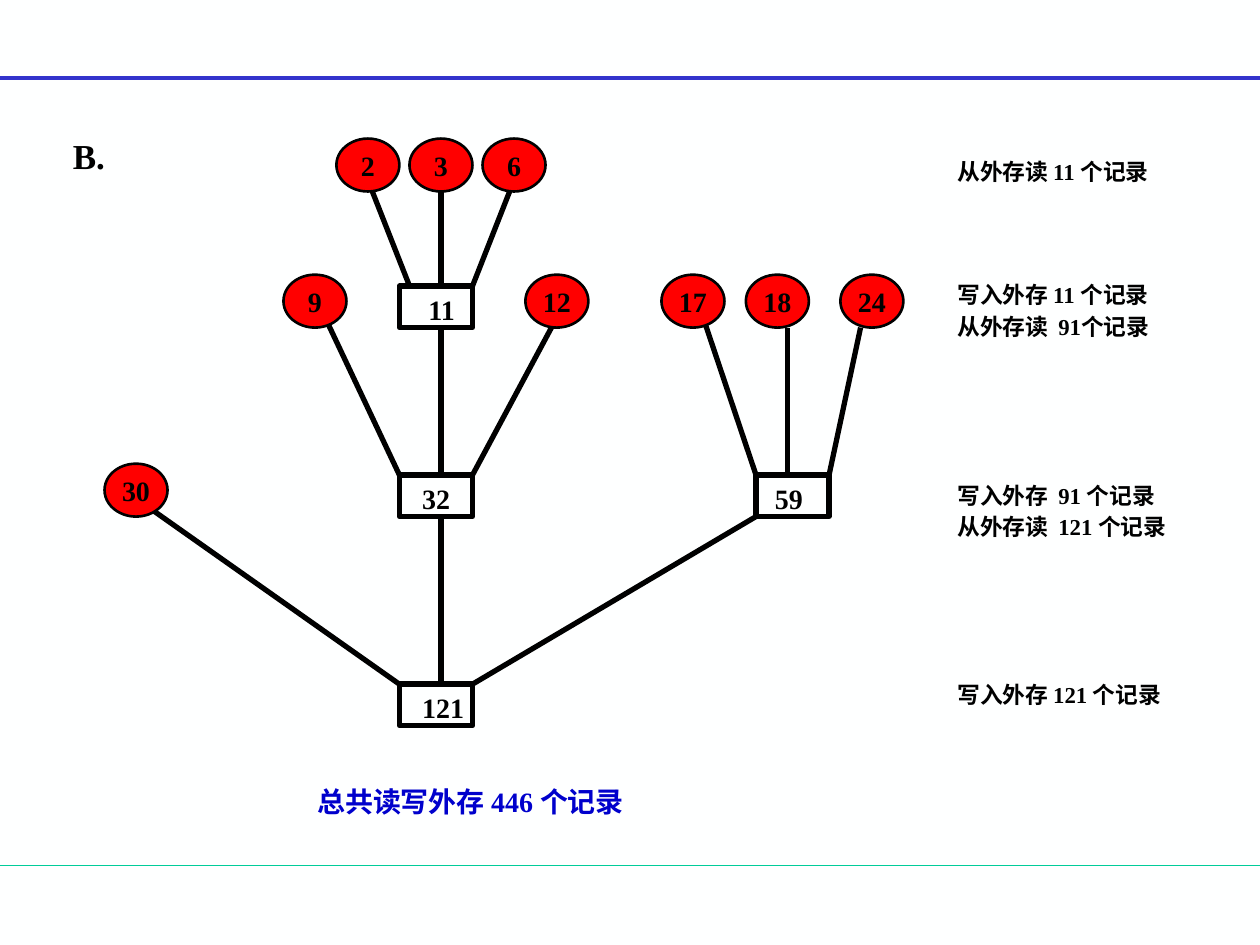
import pptx
import pptx.util
import pptx.dml.color
import pptx.enum.shapes
import pptx.enum.text
import pptx.oxml.ns
import lxml.etree

Inches = pptx.util.Inches
Pt = pptx.util.Pt
rgb = pptx.dml.color.RGBColor.from_string
kind = pptx.enum.shapes.MSO_SHAPE
anchor = pptx.enum.text.MSO_ANCHOR
align = pptx.enum.text.PP_ALIGN


def write(shape, text, size, hue="000000"):
    para = shape.text_frame.paragraphs[0]
    run = para.add_run()
    run.text = text
    run.font.name = "Times New Roman"
    run.font.size = Pt(size)
    run.font.bold = True
    run.font.color.rgb = rgb(hue)
    return para


def draw(x1, y1, x2, y2, hue="000000", width=3):
    line = shapes.add_connector(
        pptx.enum.shapes.MSO_CONNECTOR.STRAIGHT,
        Inches(x1), Inches(y1), Inches(x2), Inches(y2))
    line.line.color.rgb = rgb(hue)
    line.line.width = Pt(width)
    lxml.etree.SubElement(line._element.spPr, pptx.oxml.ns.qn("a:effectLst"))


deck = pptx.Presentation()
deck.slide_width = Inches(10)
deck.slide_height = Inches(7.5)
slide = deck.slides.add_slide(deck.slide_layouts[6])
slide.background.fill.solid()
slide.background.fill.fore_color.rgb = rgb("FEFFFF")
shapes = slide.shapes

draw(0, 6.87, 10, 6.87, "00CC99", 0.75)
draw(0, 0.62, 10, 0.62, "3333CC", 2.25)

edges = [
    (2.92, 1.43, 3.25, 2.27), (3.5, 1.43, 3.5, 2.27), (4.08, 1.43, 3.75, 2.27),
    (2.58, 2.52, 3.17, 3.77), (3.5, 2.6, 3.5, 3.77), (4.42, 2.52, 3.75, 3.77),
    (5.58, 2.52, 6, 3.77), (6.25, 2.6, 6.25, 3.77), (6.83, 2.6, 6.58, 3.77),
    (1.17, 4.02, 3.17, 5.43), (3.5, 4.1, 3.5, 5.43), (6, 4.1, 3.75, 5.43),
]
for edge in edges:
    draw(*edge)

leaves = [
    ("2", 2.67, 1.1), ("3", 3.25, 1.1), ("6", 3.83, 1.1),
    ("9", 2.25, 2.18), ("12", 4.17, 2.18),
    ("17", 5.25, 2.18), ("18", 5.92, 2.18), ("24", 6.67, 2.18),
    ("30", 0.83, 3.68),
]
for text, left, top in leaves:
    leaf = shapes.add_shape(kind.OVAL, Inches(left), Inches(top), Inches(0.5), Inches(0.42))
    leaf.shadow.inherit = False
    leaf.fill.solid()
    leaf.fill.fore_color.rgb = rgb("FF0000")
    leaf.line.color.rgb = rgb("000000")
    leaf.line.width = Pt(1.5)
    leaf.text_frame.word_wrap = False
    leaf.text_frame.vertical_anchor = anchor.MIDDLE
    write(leaf, text, 16).alignment = align.CENTER

sums = [
    ("11", 3.17, 2.27, 0.23), ("32", 3.17, 3.77, 0.18),
    ("59", 6, 3.77, 0.15), ("121", 3.17, 5.43, 0.18),
]
for text, left, top, inset in sums:
    box = shapes.add_shape(kind.RECTANGLE, Inches(left), Inches(top), Inches(0.58), Inches(0.33))
    box.shadow.inherit = False
    box.fill.background()
    box.line.color.rgb = rgb("000000")
    box.line.width = Pt(3)
    frame = box.text_frame
    frame.word_wrap = True
    frame.vertical_anchor = anchor.TOP
    frame.margin_left = Inches(inset)
    frame.margin_right = 0
    frame.margin_bottom = 0
    write(box, text, 16).alignment = align.LEFT

notes = [
    ("B.", 0.48, 1.02, 0.86, 0.44, 20, "000000"),
    ("从外存读 11 个记录", 7.5, 1.2, 2, 0.32, 13, "000000"),
    ("写入外存 11 个记录", 7.5, 2.18, 2, 0.32, 13, "000000"),
    ("从外存读  91个记录", 7.5, 2.43, 2, 0.32, 13, "000000"),
    ("写入外存  91 个记录", 7.5, 3.77, 2, 0.32, 13, "000000"),
    ("从外存读  121 个记录", 7.5, 4.02, 2, 0.32, 13, "000000"),
    ("写入外存 121 个记录", 7.5, 5.35, 2, 0.32, 13, "000000"),
    ("总共读写外存 446 个记录", 2.42, 6.18, 2.83, 0.37, 16, "0000CC"),
]
for text, left, top, width, height, size, hue in notes:
    note = shapes.add_textbox(Inches(left), Inches(top), Inches(width), Inches(height))
    note.text_frame.word_wrap = True
    write(note, text, size, hue)

deck.save("out.pptx")
